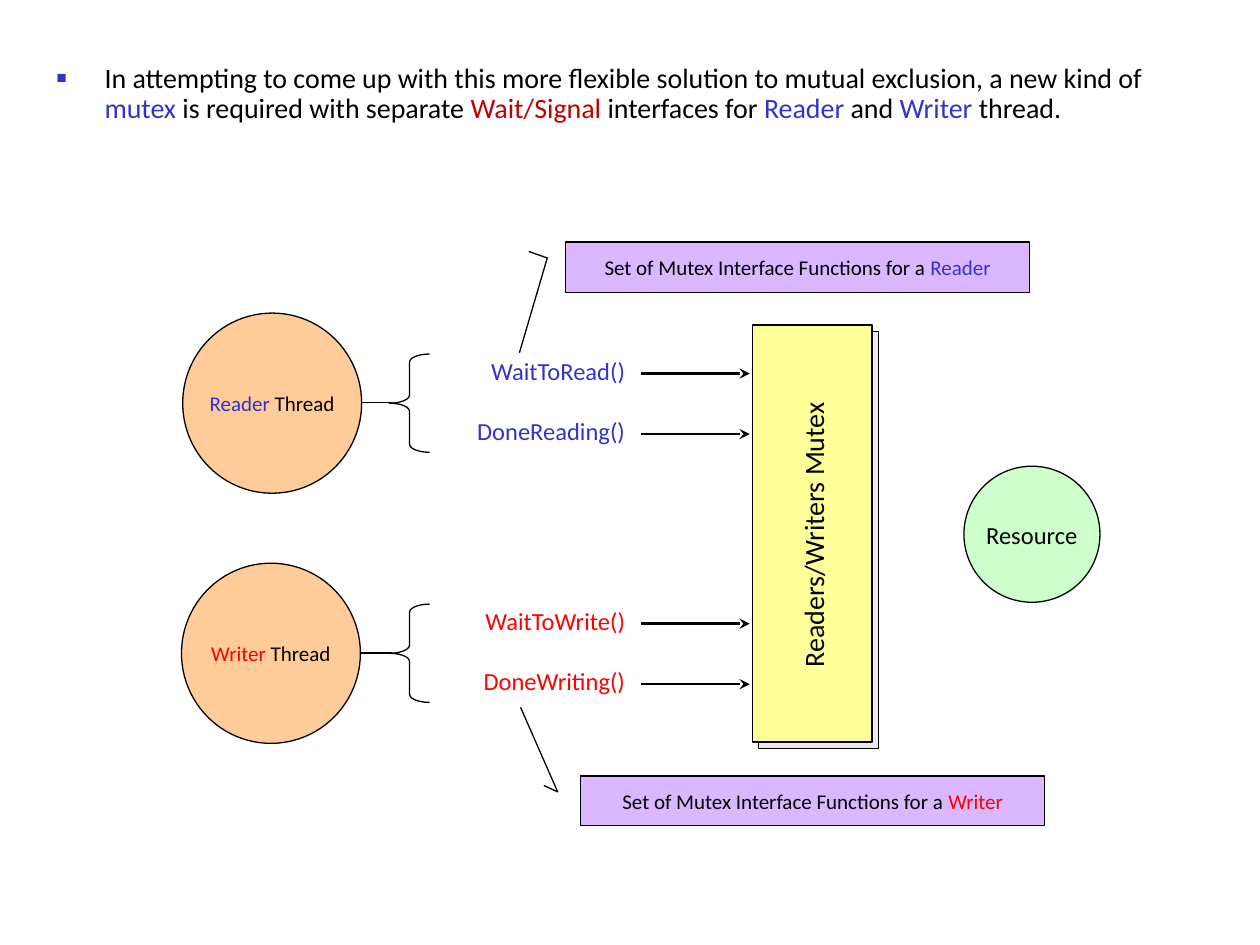
from lxml.etree import SubElement
from pptx import Presentation
from pptx.dml.color import RGBColor
from pptx.enum.shapes import MSO_CONNECTOR, MSO_SHAPE
from pptx.enum.text import MSO_ANCHOR, MSO_AUTO_SIZE, PP_ALIGN
from pptx.oxml.ns import qn
from pptx.util import Inches, Pt

COLS, ROWS = 100, 75
SLIDE_W, SLIDE_H = Inches(10), Inches(7.5)
BLACK, BLUE, RED, DARK_RED = "000000", "3333CC", "FF0000", "C00000"
PEACH, YELLOW, GREEN, LILAC, GREY = "FFCC99", "FFFF99", "CCFFCC", "DBB7FF", "EAEAEA"


def color(value):
    return RGBColor.from_string(value)


def col(n):
    return round(SLIDE_W * n / COLS)


def row(n):
    return round(SLIDE_H * n / ROWS)


def place(box):
    x, y, w, h = box
    return col(x), row(y), col(w), row(h)


def apply(obj, values):
    for name, value in values.items():
        setattr(obj, name, value)


def write(tf, runs, size, frame, para):
    apply(tf, frame)
    p = tf.paragraphs[0]
    apply(p, para)
    for text, value in runs:
        r = p.add_run()
        r.text = text
        apply(r.font, {"name": "Calibri", "size": Pt(size)})
        r.font.color.rgb = color(value)
    return p


def add_intro(s, box, runs):
    s.shapes._spTree.remove(s.shapes.title._element)
    sp = s.placeholders[1]
    apply(sp, dict(zip(("left", "top", "width", "height"), place(box))))
    p = write(sp.text_frame, runs, 16, {"auto_size": MSO_AUTO_SIZE.NONE},
              {"line_spacing": 0.9, "space_before": Pt(4)})
    pPr = p._p.get_or_add_pPr()
    indent = Inches(0.38)
    pPr.set("marL", str(indent))
    pPr.set("indent", str(-indent))
    SubElement(SubElement(pPr, qn("a:buClr")), qn("a:srgbClr"), val=BLUE)
    SubElement(pPr, qn("a:buSzPct"), val="60000")
    SubElement(pPr, qn("a:buFont"), typeface="Arial")
    SubElement(pPr, qn("a:buChar"), char="■")


def add_shape(s, kind, box, fill=None, runs=(), size=12, wrap=True, adj=()):
    sp = s.shapes.add_shape(kind, *place(box))
    sp.shadow.inherit = False
    if fill:
        sp.fill.solid()
        sp.fill.fore_color.rgb = color(fill)
    else:
        sp.fill.background()
    sp.line.color.rgb = color(BLACK)
    sp.line.width = Pt(0.75)
    for i, value in enumerate(adj):
        sp.adjustments[i] = value
    if runs:
        write(sp.text_frame, runs, size,
              {"word_wrap": wrap, "vertical_anchor": MSO_ANCHOR.MIDDLE},
              {"alignment": PP_ALIGN.CENTER})
    return sp


def add_label(s, box, text, value, size, align, before, rotation=0):
    sp = s.shapes.add_textbox(*place(box))
    sp.rotation = rotation
    write(sp.text_frame, [(text, value)], size,
          {"word_wrap": True, "auto_size": MSO_AUTO_SIZE.SHAPE_TO_FIT_TEXT},
          {"alignment": align, "space_before": Pt(before)})


def add_line(s, x1, x2, y, width, arrow=False):
    cx = s.shapes.add_connector(MSO_CONNECTOR.STRAIGHT, col(x1), row(y), col(x2), row(y))
    cx.line.color.rgb = color(BLACK)
    cx.line.width = Pt(width)
    if arrow:
        SubElement(cx.line._get_or_add_ln(), qn("a:tailEnd"), type="stealth")
    SubElement(cx._element.spPr, qn("a:effectLst"))


def add_mutex(s):
    for x, y, fill in ((60.2, 26.3, GREY), (59.7, 25.8, YELLOW)):
        add_shape(s, MSO_SHAPE.RECTANGLE, (x, y, 9.5, 33.1), fill)
    add_label(s, (48.5, 40.6, 32.1, 3.7), "Readers/Writers Mutex", BLACK, 16,
              PP_ALIGN.CENTER, 10, 270)


def add_thread(s, role, value, x, y, functions):
    add_line(s, x + 16.7, x + 14.2, y, 1)
    add_shape(s, MSO_SHAPE.LEFT_BRACE, (30.9, y - 3.85, 3.2, 7.8), adj=(0.2, 0.5))
    add_shape(s, MSO_SHAPE.OVAL, (x, y - 7.1, 14.2, 14.3), PEACH,
              [(role, value), (" Thread", BLACK)], wrap=False)
    for i, name in enumerate(functions):
        line_y = y - 2.3 + 4.8 * i
        add_line(s, 50.9, 59.5, line_y, 1.5, True)
        add_label(s, (30.9, line_y - 1.9, 19.7, 3.4), name, value, 14, PP_ALIGN.RIGHT, 8.8)


def add_callout(s, role, value, x, y, h, adj):
    add_shape(s, MSO_SHAPE.LINE_CALLOUT_2, (x, y, 36.8, h), LILAC,
              [("Set of Mutex Interface Functions for a ", BLACK), (role, value)], adj=adj)


def main():
    prs = Presentation()
    apply(prs, {"slide_width": SLIDE_W, "slide_height": SLIDE_H})
    s = prs.slides.add_slide(prs.slide_layouts[1])
    add_intro(s, (3.5, 4.6, 89.6, 19.8), [
        ("In attempting to come up with this more flexible solution to mutual exclusion, "
         "a new kind of ", BLACK),
        ("mutex", BLUE), (" is required with separate ", BLACK),
        ("Wait/Signal", DARK_RED), (" interfaces for ", BLACK),
        ("Reader", BLUE), (" and ", BLACK), ("Writer", BLUE), (" thread.", BLACK)])
    add_mutex(s)
    add_thread(s, "Reader", BLUE, 14.5, 31.95, ("WaitToRead()", "DoneReading()"))
    add_thread(s, "Writer", RED, 14.4, 51.8, ("WaitToWrite()", "DoneWriting()"))
    add_shape(s, MSO_SHAPE.OVAL, (76.5, 37, 10.8, 10.8), GREEN,
              [("Resource", BLACK)], 14, False)
    add_callout(s, "Reader", BLUE, 44.9, 19.2, 4, (0.19, -0.08, 0.32, -0.04, 2.2, -0.1))
    add_callout(s, "Writer", RED, 46.1, 61.6, 3.9, (0.19, -0.08, 0.32, -0.05, -1.4, -0.13))
    prs.save("out.pptx")


if __name__ == "__main__":
    main()
